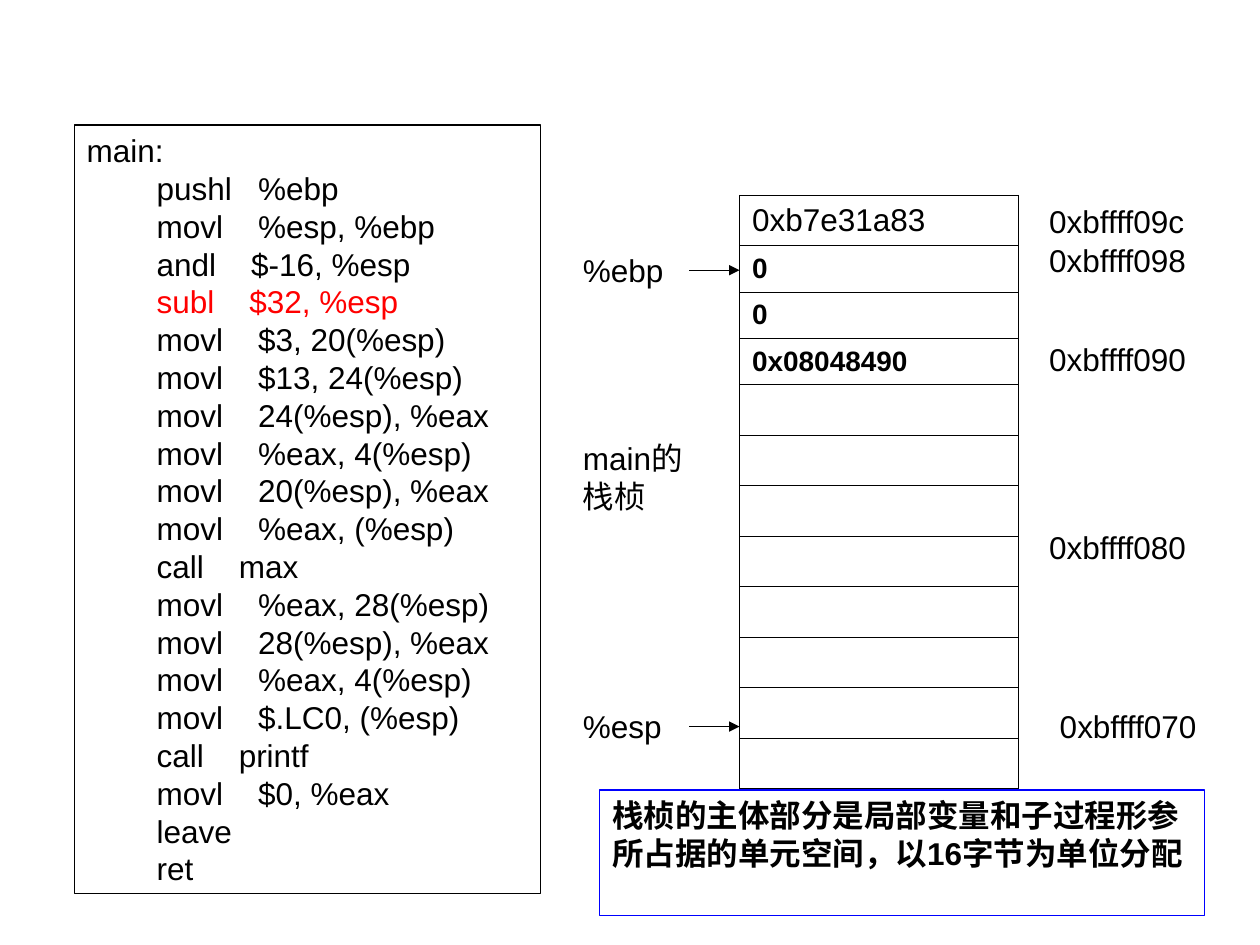
"""Build a slide showing assembly code for main beside its stack frame."""
from typing import NamedTuple

from lxml import etree
from pptx import Presentation
from pptx.dml.color import RGBColor
from pptx.enum.shapes import MSO_CONNECTOR, MSO_SHAPE
from pptx.enum.text import MSO_ANCHOR, MSO_AUTO_SIZE, PP_ALIGN
from pptx.oxml.ns import qn
from pptx.util import Pt

RECTANGLE = MSO_SHAPE.RECTANGLE
STRAIGHT = MSO_CONNECTOR.STRAIGHT
TOP, MIDDLE = MSO_ANCHOR.TOP, MSO_ANCHOR.MIDDLE
FIT_SHAPE = MSO_AUTO_SIZE.SHAPE_TO_FIT_TEXT
LEFT = PP_ALIGN.LEFT

BLACK = RGBColor(0, 0, 0)
RED = RGBColor(255, 0, 0)
BLUE = RGBColor(0, 0, 255)

PLAIN = {"name": "Arial", "size": Pt(18), "bold": False}
BOLD = PLAIN | {"bold": True}
VALUE = BOLD | {"size": Pt(16)}

INDENT = " " * 8
HIGHLIGHT = "subl    $32, %esp"
CODE = [
    "pushl   %ebp",
    "movl    %esp, %ebp",
    "andl    $-16, %esp",
    HIGHLIGHT,
    "movl    $3, 20(%esp)",
    "movl    $13, 24(%esp)",
    "movl    24(%esp), %eax",
    "movl    %eax, 4(%esp)",
    "movl    20(%esp), %eax",
    "movl    %eax, (%esp)",
    "call    max",
    "movl    %eax, 28(%esp)",
    "movl    28(%esp), %eax",
    "movl    %eax, 4(%esp)",
    "movl    $.LC0, (%esp)",
    "call    printf",
    "movl    $0, %eax",
    "leave",
    "ret",
]
NOTE = "栈桢的主体部分是局部变量和子过程形参所占据的单元空间，以16字节为单位分配"

STACK_VALUES = ["0xb7e31a83", "0", "0", "0x08048490"]
STACK_ROWS = 12
STACK_LEFT, STACK_TOP, STACK_WIDTH = 422.6, 111.6, 159.1
FIRST_ROW, OTHER_ROW = 28.8, 26.5
CELL_BORDER, LAST_BORDER = 0.45, 1.08
ARROW_LEFT = 393.8
ARROW_TOPS = [154.4, 415.2]


class Label(NamedTuple):
    """Text beside the stack, with its place in points."""

    text: str
    left: float
    top: float
    width: float
    height: float = 29
    wrap: bool = True


LABELS = [
    Label("%ebp", 326, 140, 68),
    Label("0xbffff09c", 592.5, 111.6, 102),
    Label("0xbffff098", 592.5, 134.2, 102),
    Label("0xbffff090", 592.5, 190.8, 102),
    Label("%esp", 326, 400.5, 68),
    Label("0xbffff080", 592.5, 298.4, 93.6, wrap=False),
    Label("0xbffff070", 598.5, 400.5, 93.6, wrap=False),
    Label("main的栈桢", 326, 247.5, 73.5, 50.5),
]


def apply(target, values: dict) -> None:
    """Set every named attribute on the target."""
    for name, value in values.items():
        setattr(target, name, value)


def add_span(para, text: str, style: dict, color: RGBColor = BLACK) -> None:
    """Append a styled run to a paragraph."""
    span = para.add_run()
    span.text = text
    apply(span.font, style)
    span.font.color.rgb = color


def prepare_frame(box, wrap: bool = True):
    """Give a box its text settings and return its first paragraph."""
    frame = box.text_frame
    apply(frame, {"word_wrap": wrap, "auto_size": FIT_SHAPE, "vertical_anchor": TOP})
    para = frame.paragraphs[0]
    para.alignment = LEFT
    return para


def add_panel(page, left: float, top: float, width: float, height: float, color: RGBColor):
    """Draw an unfilled outlined rectangle."""
    panel = page.shapes.add_shape(RECTANGLE, Pt(left), Pt(top), Pt(width), Pt(height))
    panel.shadow.inherit = False
    panel.fill.background()
    panel.line.color.rgb = color
    panel.line.width = Pt(0.75)
    return panel


def add_code(page) -> None:
    """Draw the assembly listing."""
    panel = add_panel(page, 42.5, 71.4, 266.4, 439.2, BLACK)
    add_span(prepare_frame(panel), "main:", PLAIN)
    for line in CODE:
        para = panel.text_frame.add_paragraph()
        para.alignment = LEFT
        color = RED if line == HIGHLIGHT else BLACK
        add_span(para, INDENT + line, PLAIN, color)


def add_borders(cell, bottom: float) -> None:
    """Draw black borders on all sides of a cell."""
    properties = cell._tc.get_or_add_tcPr()
    widths = {"lnL": CELL_BORDER, "lnR": CELL_BORDER, "lnT": CELL_BORDER, "lnB": bottom}
    for position, (side, width) in enumerate(widths.items()):
        border = etree.Element(qn(f"a:{side}"), w=str(int(Pt(width))))
        fill = etree.SubElement(border, qn("a:solidFill"))
        etree.SubElement(fill, qn("a:srgbClr"), val=str(BLACK))
        properties.insert(position, border)


def add_stack(page) -> None:
    """Draw the stack as a one-column table."""
    height = FIRST_ROW + (STACK_ROWS - 1) * OTHER_ROW
    table = page.shapes.add_table(
        STACK_ROWS, 1, Pt(STACK_LEFT), Pt(STACK_TOP), Pt(STACK_WIDTH), Pt(height)
    ).table
    apply(table, {"first_row": False, "horz_banding": False})
    for index, row in enumerate(table.rows):
        row.height = Pt(OTHER_ROW if index else FIRST_ROW)
        cell = row.cells[0]
        cell.vertical_anchor = MIDDLE
        cell.fill.background()
        add_borders(cell, LAST_BORDER if index == STACK_ROWS - 1 else CELL_BORDER)
        if index < len(STACK_VALUES):
            style = VALUE if index else PLAIN
            add_span(cell.text_frame.paragraphs[0], STACK_VALUES[index], style)


def add_label(page, label: Label) -> None:
    """Write one label."""
    box = page.shapes.add_textbox(
        Pt(label.left), Pt(label.top), Pt(label.width), Pt(label.height)
    )
    add_span(prepare_frame(box, label.wrap), label.text, PLAIN)


def add_arrow(page, top: float) -> None:
    """Draw a register arrow pointing at the stack."""
    arrow = page.shapes.add_connector(
        STRAIGHT, Pt(ARROW_LEFT), Pt(top), Pt(STACK_LEFT), Pt(top)
    )
    arrow.line.color.rgb = BLACK
    arrow.line.width = Pt(0.75)
    etree.SubElement(arrow.line._get_or_add_ln(), qn("a:tailEnd"), type="triangle")
    etree.SubElement(arrow._element.spPr, qn("a:effectLst"))


def main() -> None:
    """Build and save the deck."""
    deck = Presentation()
    apply(deck, {"slide_width": Pt(720), "slide_height": Pt(540)})
    page = deck.slides.add_slide(deck.slide_layouts[6])
    add_code(page)
    add_stack(page)
    for label in LABELS:
        add_label(page, label)
    for top in ARROW_TOPS:
        add_arrow(page, top)
    add_span(prepare_frame(add_panel(page, 342.7, 451.4, 345.6, 72, BLUE)), NOTE, BOLD)
    deck.save("out.pptx")


if __name__ == "__main__":
    main()
